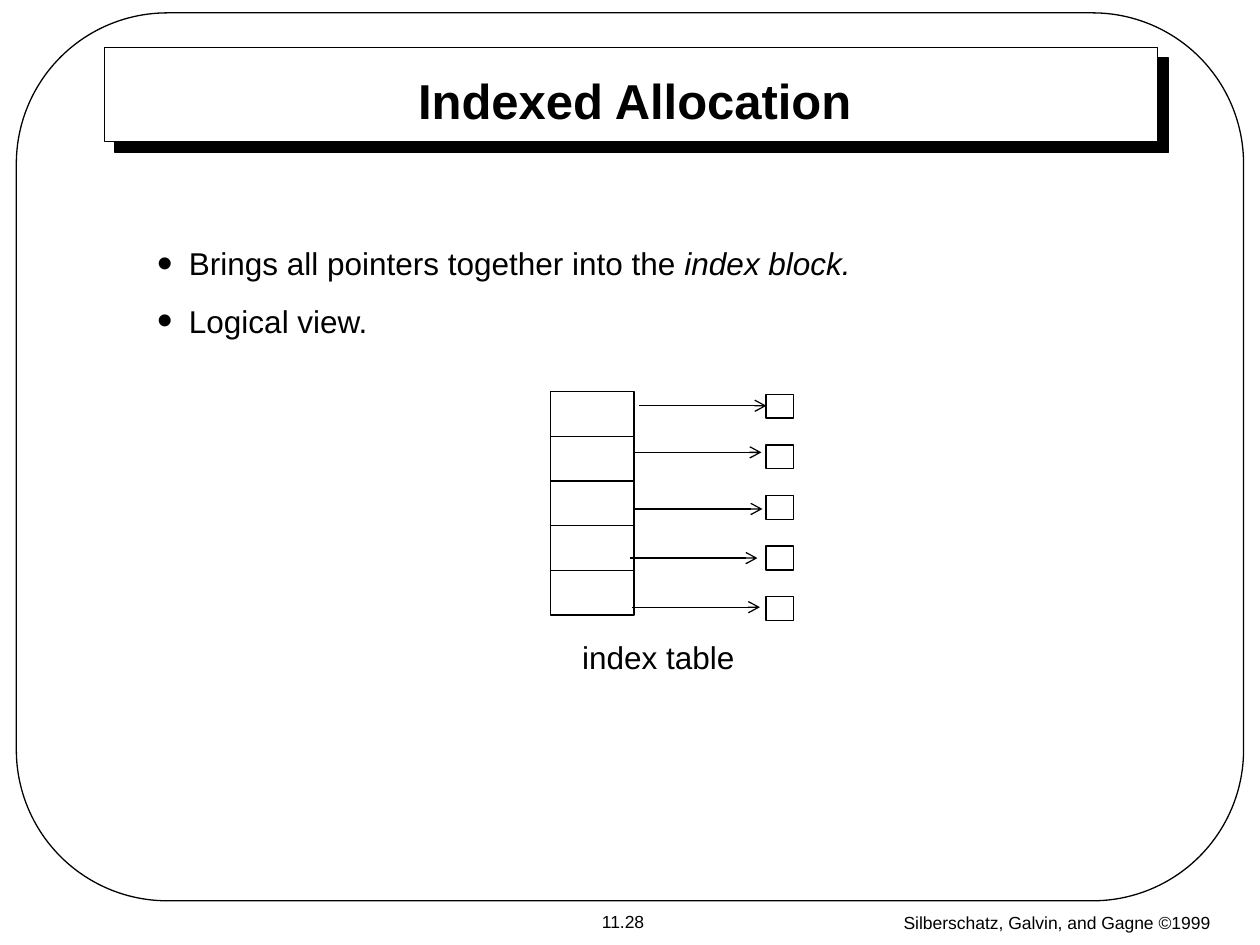
from dataclasses import dataclass

from lxml.etree import SubElement
from pptx import Presentation
from pptx.dml.color import RGBColor
from pptx.enum.shapes import MSO_CONNECTOR as Connector, MSO_SHAPE as Shape
from pptx.enum.text import MSO_ANCHOR as Anchor, PP_ALIGN as Align
from pptx.oxml.ns import qn
from pptx.util import Cm, Pt


@dataclass(frozen=True)
class Theme:
    font: str = "Arial"
    ink: RGBColor = RGBColor(0, 0, 0)
    paper: RGBColor = RGBColor(255, 255, 255)
    title_size: int = 28
    body_size: int = 18
    footer_size: int = 10
    line_width: float = 0.75


class SlideBuilder:
    def __init__(self, slide, theme):
        self.slide = slide
        self.theme = theme

    def style(self, paragraph, size, align=Align.CENTER, bold=False):
        paragraph.alignment = align
        paragraph.font.name = self.theme.font
        paragraph.font.size = Pt(size)
        paragraph.font.bold = bold
        paragraph.font.color.rgb = self.theme.ink

    def outline(self, line):
        line.color.rgb = self.theme.ink
        line.width = Pt(self.theme.line_width)

    def box(self, left, top, width, height, kind=Shape.RECTANGLE):
        box = self.slide.shapes.add_shape(kind, Cm(left), Cm(top), Cm(width), Cm(height))
        box.shadow.inherit = False
        box.fill.solid()
        box.fill.fore_color.rgb = self.theme.paper
        self.outline(box.line)
        return box

    def frame(self, left, top, width, height, rounding):
        frame = self.box(left, top, width, height, Shape.ROUNDED_RECTANGLE)
        frame.adjustments[0] = rounding
        frame.fill.background()

    def shadowed_panel(self, left, top, width, height, distance):
        panel = self.box(left, top, width, height)
        effects = panel._element.spPr.find(qn("a:effectLst"))
        shadow = SubElement(effects, qn("a:outerShdw"), dist=str(Pt(distance)),
                            dir="2700000", algn="ctr", rotWithShape="0")
        SubElement(shadow, qn("a:srgbClr"), val=str(self.theme.ink))

    def title(self, text, left, top, width, height):
        title = self.slide.shapes.title
        title.left, title.top, title.width, title.height = map(Cm, (left, top, width, height))
        title.text_frame.text = text
        title.text_frame.vertical_anchor = Anchor.MIDDLE
        self.style(title.text_frame.paragraphs[0], self.theme.title_size, bold=True)
        self.slide.shapes._spTree.append(title._element)

    def text_frame(self, left, top, width, height):
        frame = self.slide.shapes.add_textbox(Cm(left), Cm(top), Cm(width), Cm(height)).text_frame
        frame.word_wrap = True
        return frame

    def label(self, text, left, top, width, height, size, anchor=Anchor.MIDDLE):
        frame = self.text_frame(left, top, width, height)
        frame.vertical_anchor = anchor
        frame.text = text
        self.style(frame.paragraphs[0], size)

    def bullets(self, points, left, top, width, height):
        frame = self.text_frame(left, top, width, height)
        for index, (plain, emphasis) in enumerate(points):
            paragraph = frame.add_paragraph() if index else frame.paragraphs[0]
            if index:
                paragraph.space_before = Pt(11.2)
            properties = paragraph._p.get_or_add_pPr()
            properties.set("marL", str(Cm(0.64)))
            properties.set("indent", str(-Cm(0.64)))
            colour = SubElement(properties, qn("a:buClr"))
            SubElement(colour, qn("a:srgbClr"), val=str(self.theme.ink))
            SubElement(properties, qn("a:buSzPct"), val="140000")
            SubElement(properties, qn("a:buFont"), typeface=self.theme.font)
            SubElement(properties, qn("a:buChar"), char="•")
            self.style(paragraph, self.theme.body_size, Align.LEFT)
            paragraph.add_run().text = plain
            if emphasis:
                run = paragraph.add_run()
                run.text = emphasis
                run.font.italic = True

    def arrow(self, left, top, length):
        arrow = self.slide.shapes.add_connector(
            Connector.STRAIGHT, Cm(left), Cm(top), Cm(left + length), Cm(top))
        self.outline(arrow.line)
        SubElement(arrow.line._get_or_add_ln(), qn("a:tailEnd"), type="arrow")
        SubElement(arrow._element.spPr, qn("a:effectLst"))


def main():
    theme = Theme()
    deck = Presentation()
    deck.slide_width, deck.slide_height = Cm(25.4), Cm(19.05)
    page = SlideBuilder(deck.slides.add_slide(deck.slide_layouts[5]), theme)

    page.label("Silberschatz, Galvin, and Gagne ©1999", 17.28, 18.26, 8.05, 0.79,
               theme.footer_size, Anchor.TOP)
    page.frame(0.33, 0.26, 24.74, 17.9, 0.17)
    page.label("11.28", 11.26, 18.24, 2.6, 0.69, theme.footer_size)
    page.shadowed_panel(2.11, 0.96, 21.23, 1.9, 8.5)
    page.title("Indexed Allocation", 3.23, 1.37, 19.13, 1.27)
    page.bullets([("Brings all pointers together into the ", "index block."),
                  ("Logical view.", "")], 2.92, 4.8, 19.53, 2.36)

    pointer_starts = [(12.88, 8.18), (12.78, 9.12), (12.8, 10.26), (12.7, 11.25), (12.75, 12.24)]
    for row in range(len(pointer_starts)):
        page.box(11.1, 7.9 + 0.9 * row, 1.68, 0.9)
    for row in range(len(pointer_starts)):
        page.box(15.44, 7.95 + 1.02 * row, 0.56, 0.48)
    for left, top in pointer_starts:
        page.arrow(left, top, 2.57)
    page.label("index table", 11.48, 12.73, 3.58, 1.02, theme.body_size)

    deck.save("out.pptx")


if __name__ == "__main__":
    main()
